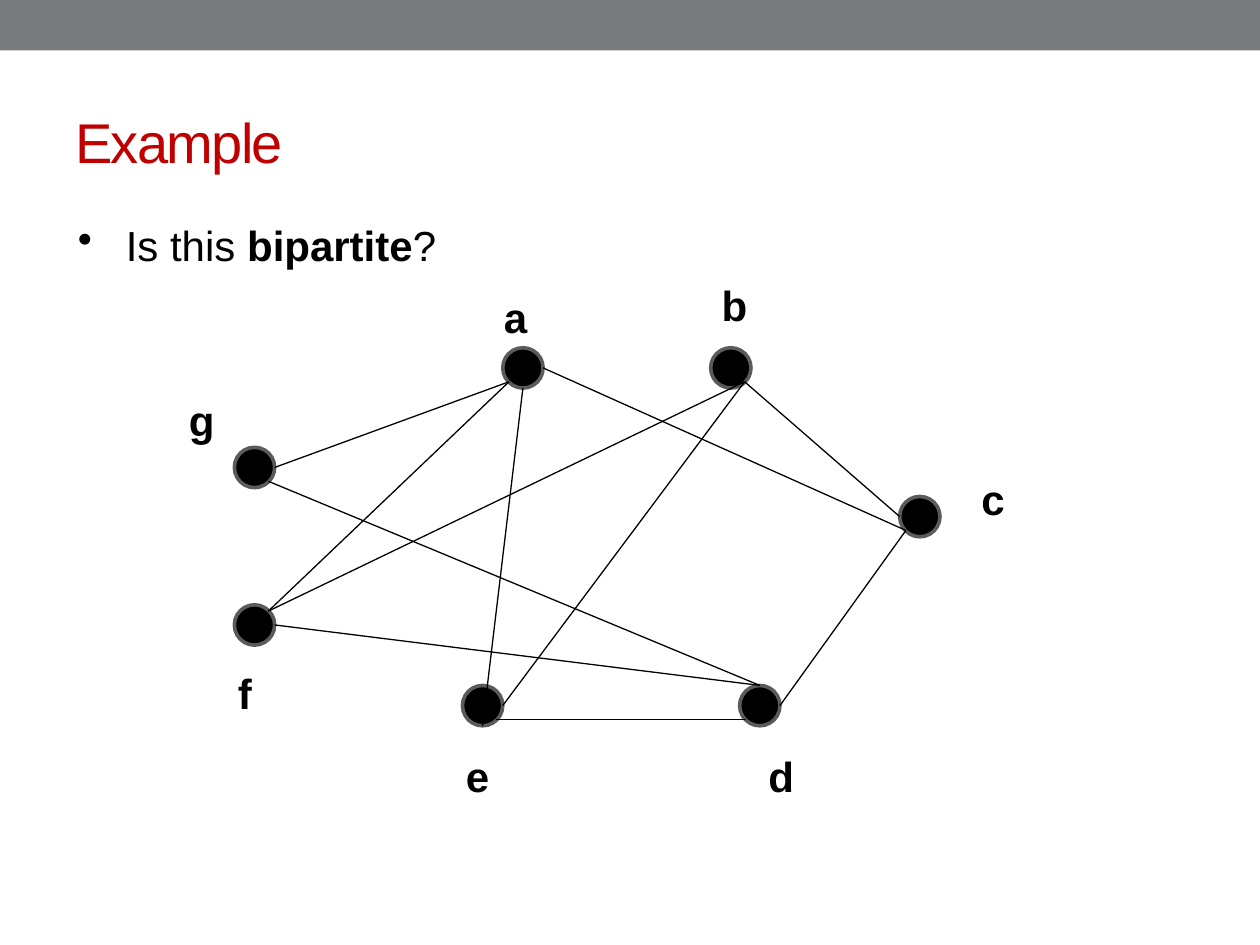
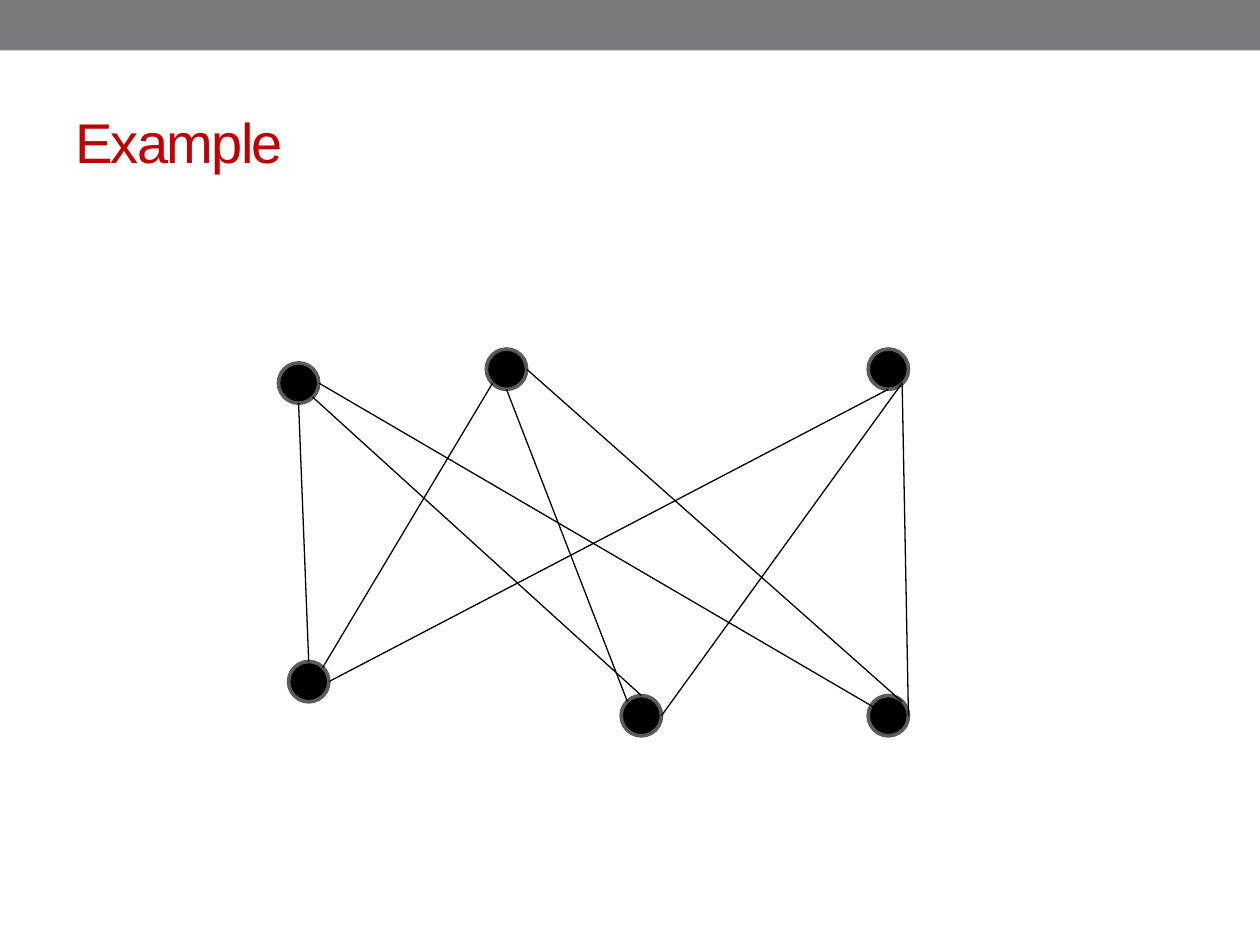
from lxml import etree
from pptx import Presentation
from pptx.dml.color import RGBColor
from pptx.enum.shapes import MSO_CONNECTOR, MSO_SHAPE
from pptx.enum.text import MSO_ANCHOR
from pptx.oxml.ns import qn
from pptx.util import Inches, Pt

COLORS = {name: RGBColor.from_string(value) for name, value in {
    "band": "797B7E", "title": "C00000", "ink": "000000", "ring": "5A5B5D"}.items()}
FONT = "Arial"
RADIUS = 0.16
DIAGONAL = 0.11
# Where an edge meets its node, as an offset from the node's centre
ANCHORS = {
    "N": (0, -RADIUS), "S": (0, RADIUS), "E": (RADIUS, 0), "W": (-RADIUS, 0),
    "NE": (DIAGONAL, -DIAGONAL), "NW": (-DIAGONAL, -DIAGONAL),
    "SE": (DIAGONAL, DIAGONAL), "SW": (-DIAGONAL, DIAGONAL), "centre": (0, 0),
}

# Node centres, label corners and edges (node, anchor, node, anchor)
GRAPHS = [
    {
        "nodes": {"a": (4.15, 2.92), "b": (5.8, 2.92), "c": (7.3, 4.1), "d": (6.03, 5.6),
                  "e": (3.83, 5.6), "f": (2.02, 4.96), "g": (2.02, 3.71)},
        "labels": {"a": (3.9, 2.26), "b": (5.63, 2.17), "c": (7.69, 3.71), "d": (6, 5.91),
                   "e": (3.6, 5.91), "f": (1.79, 5.25), "g": (1.4, 3.08)},
        "edges": ["g E a SW", "a E c SW", "b SE c W", "c SW d E", "e SE d SW", "f E d N",
                  "f NE b SE", "g SE d N", "a S e S", "a SW f NE", "b SE e E"],
        "question": [("Is this ", False), ("bipartite", True), ("?", False)],
    },
    {
        "nodes": {"top1": (2.37, 3.04), "top2": (4.02, 2.93), "top3": (7.05, 2.93),
                  "low1": (2.45, 5.41), "low2": (5.09, 5.68), "low3": (7.05, 5.68)},
        "labels": {},
        "edges": ["top2 SW low1 NE", "low1 E top3 S", "top2 S low2 NW", "top2 E low3 NE",
                  "top3 SE low2 E", "top3 SE low3 E", "top1 E low3 centre",
                  "top1 SE low2 N", "top1 S low1 N"],
        "question": [],
    },
]


def add_text(slide, left, top, width, height, runs, size, color, wrap=True):
    """Add a one-paragraph text box from (text, bold) runs and return its paragraph."""
    frame = slide.shapes.add_textbox(
        Inches(left), Inches(top), Inches(width), Inches(height)).text_frame
    frame.word_wrap = wrap
    frame.vertical_anchor = MSO_ANCHOR.MIDDLE
    paragraph = frame.paragraphs[0]
    paragraph.font.name = FONT
    paragraph.font.size = Pt(size)
    paragraph.font.color.rgb = COLORS[color]
    for text, bold in runs:
        run = paragraph.add_run()
        run.text = text
        run.font.bold = bold
    return paragraph


presentation = Presentation()
presentation.slide_width = Inches(10)
presentation.slide_height = Inches(7.5)

for graph in GRAPHS:
    slide = presentation.slides.add_slide(presentation.slide_layouts[6])
    band = slide.shapes.add_shape(MSO_SHAPE.RECTANGLE, 0, 0, Inches(10), Inches(0.4))
    band.shadow.inherit = False
    band.fill.solid()
    band.fill.fore_color.rgb = COLORS["band"]
    band.line.fill.background()

    title = add_text(slide, 0.5, 0.58, 9, 1.08, [("Example", False)], 32, "title")
    title.runs[0].font.name = FONT
    title.runs[0]._r.get_or_add_rPr().set("spc", "-100")

    nodes = graph["nodes"]
    for x, y in nodes.values():
        node = slide.shapes.add_shape(
            MSO_SHAPE.OVAL, Inches(x - RADIUS), Inches(y - RADIUS),
            Inches(2 * RADIUS), Inches(2 * RADIUS))
        node.shadow.inherit = False
        node.fill.solid()
        node.fill.fore_color.rgb = COLORS["ink"]
        node.line.color.rgb = COLORS["ring"]
        node.line.width = Pt(2.08)

    for edge in graph["edges"]:
        start, start_anchor, end, end_anchor = edge.split()
        ends = [Inches(centre + offset)
                for name, anchor in ((start, start_anchor), (end, end_anchor))
                for centre, offset in zip(nodes[name], ANCHORS[anchor])]
        connector = slide.shapes.add_connector(MSO_CONNECTOR.STRAIGHT, *ends)
        connector.line.color.rgb = COLORS["ink"]
        connector.line.width = Pt(0.75)
        etree.SubElement(connector._element.spPr, qn("a:effectLst"))

    for label, (left, top) in graph["labels"].items():
        add_text(slide, left, top, 0.4, 0.5, [(label, True)], 24, "ink", wrap=False)

    if graph["question"]:
        question = add_text(slide, 0.52, 1.69, 3.16, 0.5, graph["question"], 24, "ink")
        properties = question._p.get_or_add_pPr()
        properties.set("marL", str(Inches(0.38)))
        properties.set("indent", str(-Inches(0.38)))
        bullet = etree.Element(qn("a:buChar"), char="•")
        properties.find(qn("a:defRPr")).addprevious(bullet)

presentation.save("out.pptx")
